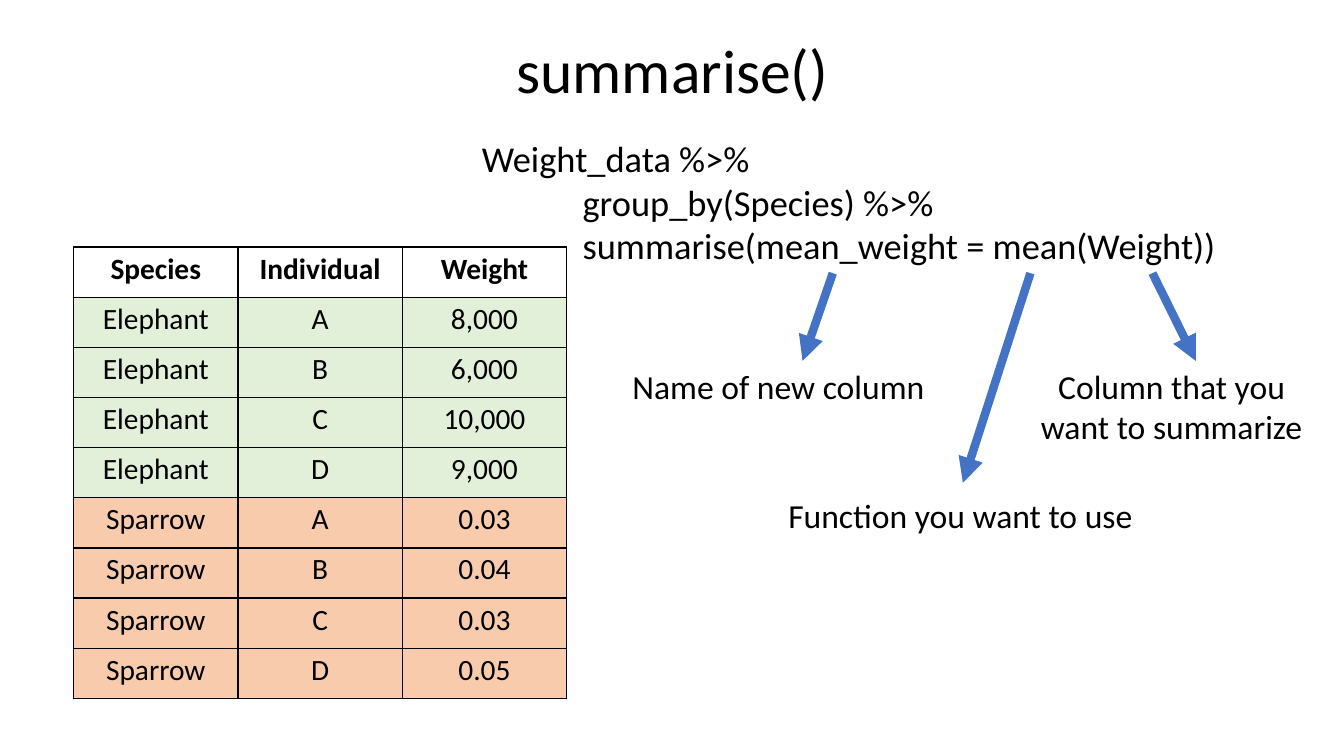
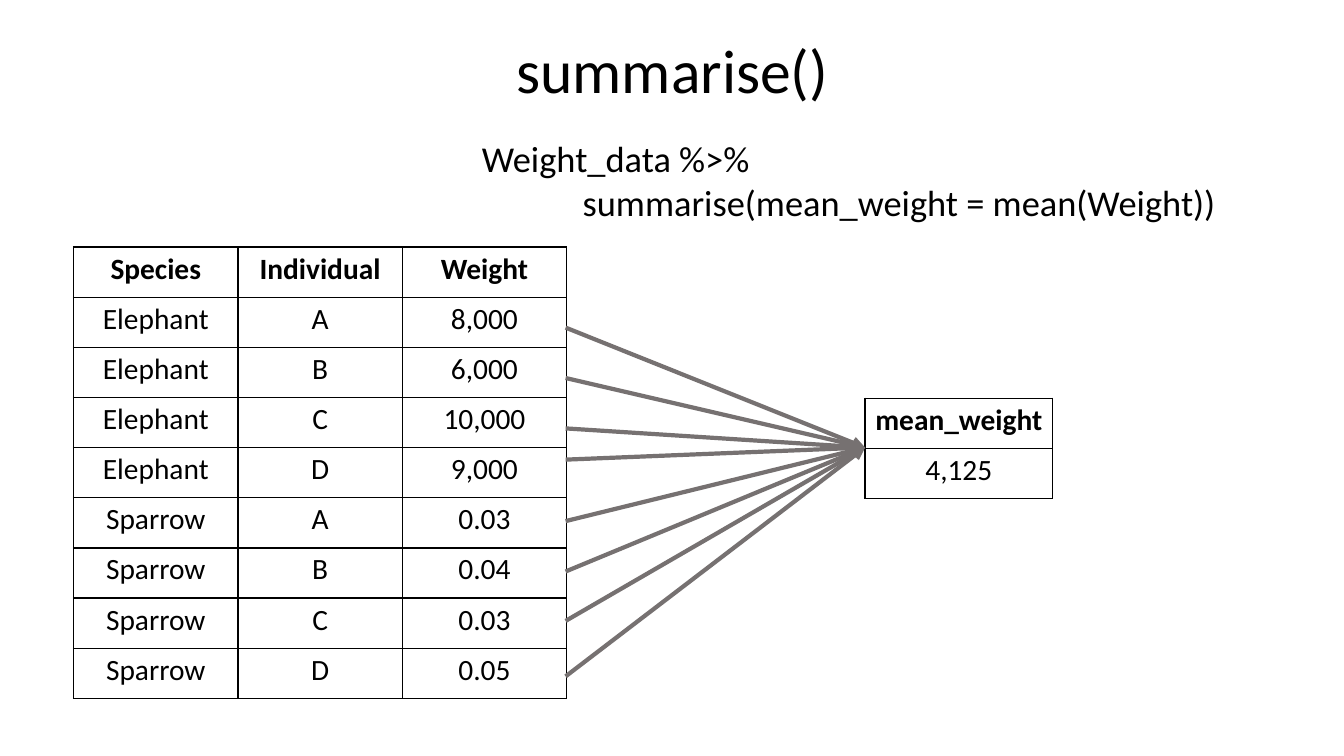
import lxml.etree
import pptx
import pptx.dml.color
import pptx.enum.shapes
import pptx.enum.text
import pptx.oxml.ns
import pptx.util

Inches = pptx.util.Inches
Pt = pptx.util.Pt
qn = pptx.oxml.ns.qn

FONT = "Calibri"
BLACK, BLUE, GREY = "000000", "4472C4", "767171"
SPECIES_FILLS = {"Elephant": "E2F0D9", "Sparrow": "F8CBAD"}
ROW_HEIGHT = 4.48 / 9
TABLE_LEFT, TABLE_TOP, COLUMN_WIDTH = 0.73, 2.45, 1.63
TABLE_RIGHT = 5.61
MEAN_LEFT, MEAN_TOP, MEAN_WIDTH = 8.58, 3.95, 1.86

WEIGHTS = [
    ("Species", "Individual", "Weight"),
    ("Elephant", "A", "8,000"),
    ("Elephant", "B", "6,000"),
    ("Elephant", "C", "10,000"),
    ("Elephant", "D", "9,000"),
    ("Sparrow", "A", "0.03"),
    ("Sparrow", "B", "0.04"),
    ("Sparrow", "C", "0.03"),
    ("Sparrow", "D", "0.05"),
]
MEANS = [("mean_weight",), ("4,125",)]


def color(hex_string):
    """Turn a hex string into an RGB colour."""
    return pptx.dml.color.RGBColor.from_string(hex_string)


class Deck:
    """Hold the shared style and the current slide, and add elements to it."""

    def __init__(self):
        """Start an empty widescreen presentation."""
        self.presentation = pptx.Presentation()
        self.presentation.slide_width = Inches(13.33)
        self.presentation.slide_height = Inches(7.5)
        self.slide = None

    def format_paragraph(self, paragraph, size, bold=False, centered=True):
        """Apply the shared text style to a paragraph."""
        alignments = pptx.enum.text.PP_ALIGN
        paragraph.alignment = alignments.CENTER if centered else alignments.LEFT
        for run in paragraph.runs:
            run.font.name = FONT
            run.font.size = Pt(size)
            run.font.bold = bold
            run.font.color.rgb = color(BLACK)

    def add_slide(self, title):
        """Add a slide with a centred title."""
        layout = self.presentation.slide_layouts[5]
        self.slide = self.presentation.slides.add_slide(layout)
        shape = self.slide.shapes.title
        shape.left, shape.top = Inches(3.72), Inches(0)
        shape.width, shape.height = Inches(5.9), Inches(1.45)
        shape.text_frame.text = title
        shape.text_frame.vertical_anchor = pptx.enum.text.MSO_ANCHOR.MIDDLE
        paragraph = shape.text_frame.paragraphs[0]
        paragraph.line_spacing = 0.9
        self.format_paragraph(paragraph, 44)

    def add_text(self, text, left, top, width, height, wrap=True):
        """Add a text box and return its text frame."""
        shape = self.slide.shapes.add_textbox(
            Inches(left), Inches(top), Inches(width), Inches(height))
        shape.text_frame.word_wrap = wrap
        shape.text_frame.text = text
        return shape.text_frame

    def add_label(self, text, left, top, width, height, wrap=False):
        """Add a centred explanation."""
        frame = self.add_text(text, left, top, width, height, wrap)
        self.format_paragraph(frame.paragraphs[0], 24)

    def add_code(self, lines, height):
        """Add a pipeline whose steps are indented below its first line."""
        frame = self.add_text("\n".join(lines), 4.68, 1.3, 7.55, height)
        for index, paragraph in enumerate(frame.paragraphs):
            self.format_paragraph(paragraph, 26, centered=False)
            if index:
                paragraph._p.get_or_add_pPr().set("marL", str(Inches(1)))

    def add_table(self, rows, left, top, column_width, fills=None):
        """Add a bordered table, filling rows by their first value."""
        fills = fills or {}
        shape = self.slide.shapes.add_table(
            len(rows), len(rows[0]), Inches(left), Inches(top),
            Inches(column_width * len(rows[0])), Inches(ROW_HEIGHT * len(rows)))
        table = shape.table
        table.first_row = table.horz_banding = False
        for column in table.columns:
            column.width = Inches(column_width)
        for row_index, values in enumerate(rows):
            table.rows[row_index].height = Inches(ROW_HEIGHT)
            for column_index, value in enumerate(values):
                cell = table.cell(row_index, column_index)
                self.format_cell(cell, value, row_index == 0, fills.get(values[0]))

    def format_cell(self, cell, value, bold, fill):
        """Set the text, margins, borders and fill of a cell."""
        cell.text_frame.text = value
        self.format_paragraph(cell.text_frame.paragraphs[0], 21, bold)
        cell.margin_left = cell.margin_right = Inches(0.07)
        cell.margin_top = cell.margin_bottom = Inches(0.04)
        properties = cell._tc.get_or_add_tcPr()
        for side in ("a:lnL", "a:lnR", "a:lnT", "a:lnB"):
            border = lxml.etree.SubElement(properties, qn(side), w=str(Pt(1)))
            solid = lxml.etree.SubElement(border, qn("a:solidFill"))
            lxml.etree.SubElement(solid, qn("a:srgbClr"), val=BLACK)
        if fill:
            cell.fill.solid()
            cell.fill.fore_color.rgb = color(fill)
        else:
            cell.fill.background()

    def add_arrow(self, start, end, line_color, width):
        """Add a straight arrow from start to end."""
        connector = self.slide.shapes.add_connector(
            pptx.enum.shapes.MSO_CONNECTOR.STRAIGHT,
            *(Inches(value) for value in (*start, *end)))
        connector.line.color.rgb = color(line_color)
        connector.line.width = Pt(width)
        properties = connector._element.spPr
        lxml.etree.SubElement(
            properties.find(qn("a:ln")), qn("a:tailEnd"), type="triangle")
        lxml.etree.SubElement(properties, qn("a:effectLst"))


def add_syntax_slide(deck):
    """Explain the parts of a grouped summary."""
    deck.add_slide("summarise()")
    deck.add_table(WEIGHTS, TABLE_LEFT, TABLE_TOP, COLUMN_WIDTH, SPECIES_FILLS)
    deck.add_code(["Weight_data %>%", "group_by(Species) %>%",
                   "summarise(mean_weight = mean(Weight))"], 1.41)
    for start_x, end_x, end_y in ((8.26, 7.96, 3.58), (11.43, 11.86, 3.58),
                                  (10.22, 9.55, 4.79)):
        deck.add_arrow((start_x, 2.71), (end_x, end_y), BLUE, 6)
    deck.add_label("Name of new column", 6.16, 3.58, 3.12, 0.5)
    deck.add_label("Column that you want to summarize",
                   10.06, 3.58, 3.12, 0.91, wrap=True)
    deck.add_label("Function you want to use", 7.7, 4.86, 3.65, 0.5)


def add_result_slide(deck):
    """Show all weights collapsing into one mean."""
    deck.add_slide("summarise()")
    deck.add_table(WEIGHTS, TABLE_LEFT, TABLE_TOP, COLUMN_WIDTH)
    deck.add_table(MEANS, MEAN_LEFT, MEAN_TOP, MEAN_WIDTH)
    deck.add_code(["Weight_data %>%",
                   "summarise(mean_weight = mean(Weight))"], 0.98)
    for start_y in (3.25, 3.75, 4.25, 4.56, 5.17, 5.67, 6.16, 6.71):
        deck.add_arrow((TABLE_RIGHT, start_y), (MEAN_LEFT, 4.44), GREY, 3)


def main():
    """Build and save the presentation."""
    deck = Deck()
    add_syntax_slide(deck)
    add_result_slide(deck)
    deck.presentation.save("out.pptx")


if __name__ == "__main__":
    main()
